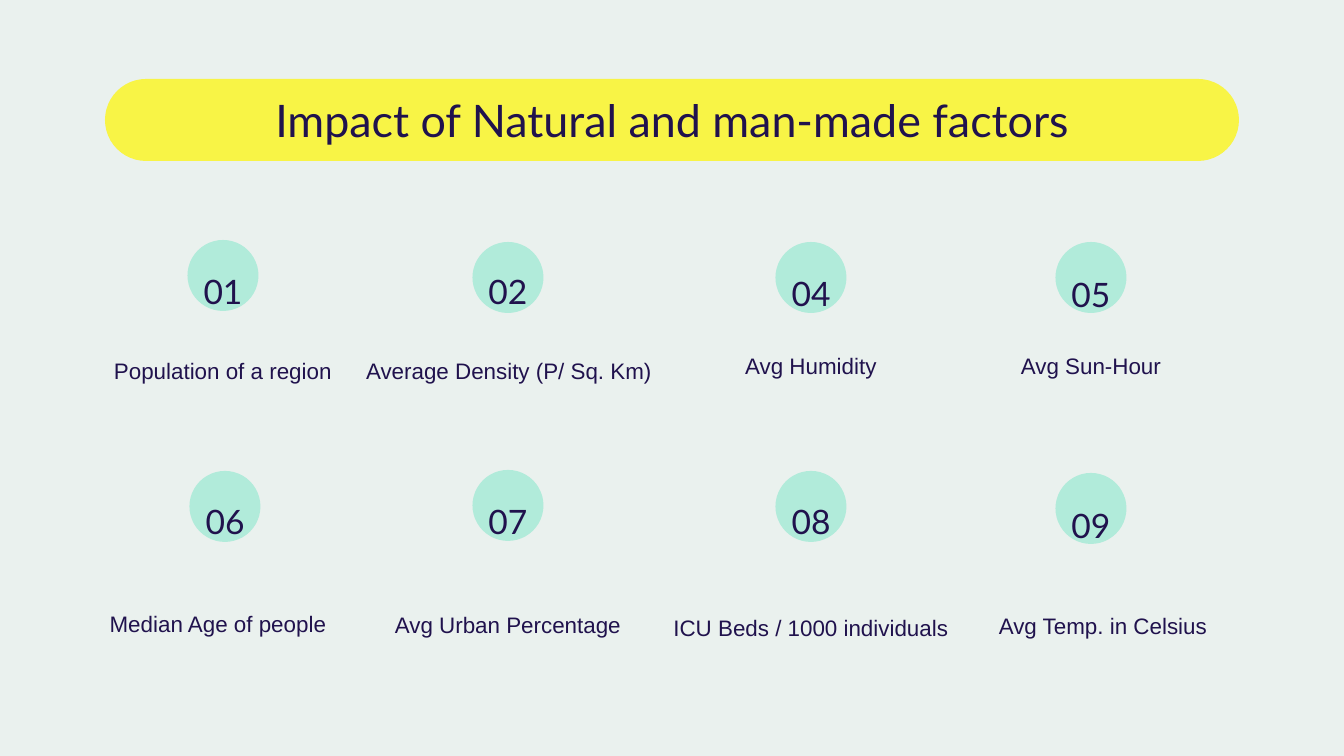
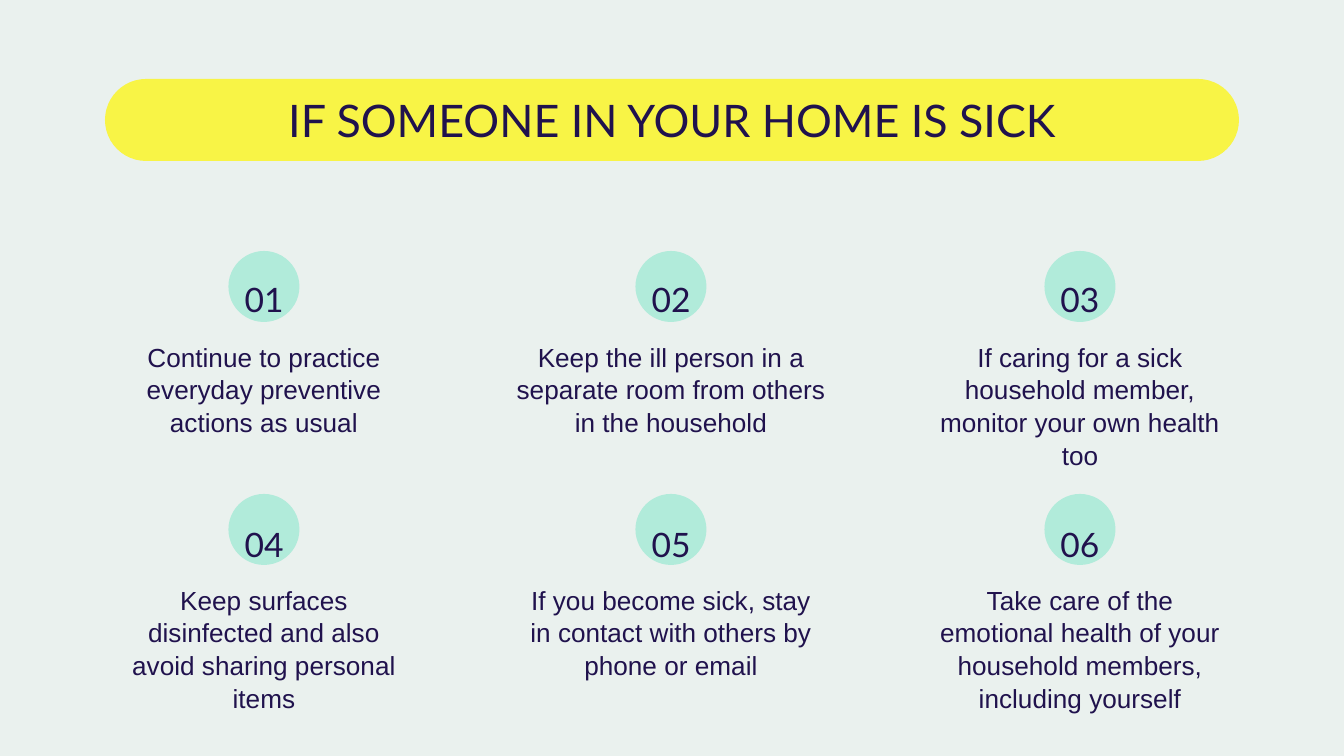
from pptx import Presentation
from pptx.dml.color import RGBColor
from pptx.enum.shapes import MSO_SHAPE as Shape
from pptx.enum.text import MSO_ANCHOR as Anchor, MSO_AUTO_SIZE as AutoSize, PP_ALIGN as Align
from pptx.util import Emu, Pt

# Content: items fill the grid row by row; rows give circle, number and label tops
SLIDES = [
    {
        "title": "Impact of Natural and man-made factors",
        "label_size": 12,
        "columns": [223, 508, 811, 1091],
        "rows": [(241, 251, 332), (471, 481, 587)],
        "items": [
            ("01", "Population of a region"),
            ("02", "Average Density (P/ Sq. Km)"),
            ("04", "Avg Humidity"),
            ("05", "Avg Sun-Hour"),
            ("06", "Median Age of people"),
            ("07", "Avg Urban Percentage"),
            ("08", "ICU Beds / 1000 individuals"),
            ("09", "Avg Temp. in Celsius"),
        ],
        # Small shifts: circle x, circle y, number y, label x, label y
        "nudges": {
            "01": (0, -1, 0, 0, 0),
            "02": (0, 1, 0, 1, 0),
            "04": (0, 1, 2, 0, -5),
            "05": (0, 1, 3, 0, -5),
            "06": (2, 0, 0, -5, -2),
            "07": (0, -1, 0, 0, -1),
            "08": (0, 0, 0, 0, 2),
            "09": (0, 2, 4, 12, 0),
        },
    },
    {
        "title": "IF SOMEONE IN YOUR HOME IS SICK",
        "label_size": 14,
        "columns": [264, 671, 1080],
        "rows": [(251, 259, 316), (494, 504, 559)],
        "items": [
            ("01", "Continue to practice everyday preventive actions as usual"),
            ("02", "Keep the ill person in a separate room from others in the household"),
            ("03", "If caring for a sick household member, monitor your own health too"),
            ("04", "Keep surfaces disinfected and also avoid sharing personal items"),
            ("05", "If you become sick, stay in contact with others by phone or email"),
            ("06", "Take care of the emotional health of your household members, "
                   "including yourself"),
        ],
        "nudges": {},
    },
]

# Shared look, lengths in px
COLORS = {"background": "EAF1EE", "band": "F8F446", "circle": "B1EBDA", "text": "20124D"}
HEADING_FONT, BODY_FONT = "Lato", "Arial"
SLIDE_SIZE = (1344, 756)
BAND = (105, 79, 1134, 82)
TITLE = (138, 80, 1068, 81)
CIRCLE = 71
NUMBER_WIDTH, NUMBER_HEIGHT = 121, 54
LABEL_WIDTH, LABEL_HEIGHT = 316, 112
WIDE_LABELS = {"02": 335}
NO_NUDGE = (0, 0, 0, 0, 0)


def px(length):
    return Emu(round(length * 914400 / 134.4))


def color(name):
    return RGBColor.from_string(COLORS[name])


def centred(center, top, width, height):
    return center - width / 2, top, width, height


def add_filled(slide, kind, box, fill):
    shape = slide.shapes.add_shape(kind, *map(px, box))
    shape.shadow.inherit = False
    shape.fill.solid()
    shape.fill.fore_color.rgb = color(fill)
    shape.line.fill.background()
    return shape


def write(shape, text, *, size, font, insets, anchor=Anchor.TOP, after=0, spacing=1.0):
    frame = shape.text_frame
    frame.word_wrap = True
    frame.auto_size = AutoSize.NONE
    frame.vertical_anchor = anchor
    (frame.margin_left, frame.margin_top,
     frame.margin_right, frame.margin_bottom) = map(px, insets)
    paragraph = frame.paragraphs[0]
    paragraph.alignment = Align.CENTER
    paragraph.space_before = Pt(0)
    paragraph.space_after = Pt(after)
    paragraph.line_spacing = spacing
    run = paragraph.add_run()
    run.text = text
    run.font.size = Pt(size)
    run.font.name = font
    run.font.bold = False
    run.font.color.rgb = color("text")


def add_text(slide, box, text, **style):
    write(slide.shapes.add_textbox(*map(px, box)), text, after=16, **style)


def add_title(slide, text):
    title = slide.shapes.title
    title.left, title.top, title.width, title.height = map(px, TITLE)
    write(title, text, size=24, font=HEADING_FONT, insets=(13, 13, 13, 13))


def add_item(slide, number, label, center, tops, nudge, label_size):
    circle_top, number_top, label_top = tops
    circle_dx, circle_dy, number_dy, label_dx, label_dy = nudge
    circle_center = center + circle_dx
    add_filled(slide, Shape.OVAL,
               centred(circle_center, circle_top + circle_dy, CIRCLE, CIRCLE), "circle")
    add_text(slide,
             centred(circle_center, number_top + number_dy, NUMBER_WIDTH, NUMBER_HEIGHT),
             number, size=18, font=HEADING_FONT, insets=(13, 27, 13, 0),
             anchor=Anchor.MIDDLE)
    width = WIDE_LABELS.get(number, LABEL_WIDTH)
    add_text(slide, centred(center + label_dx, label_top + label_dy, width, LABEL_HEIGHT),
             label, size=label_size, font=BODY_FONT, insets=(13, 24, 13, 0), spacing=1.04)


def main():
    presentation = Presentation()
    presentation.slide_width, presentation.slide_height = map(px, SLIDE_SIZE)
    layout = presentation.slide_layouts.get_by_name("Title Only")
    layout.background.fill.solid()
    layout.background.fill.fore_color.rgb = color("background")

    for index, content in enumerate(SLIDES):
        slide = presentation.slides.add_slide(layout)
        if index == 0:
            # The band moves to the layout, behind every title
            band = add_filled(slide, Shape.ROUNDED_RECTANGLE, BAND, "band")
            band.adjustments[0] = 0.5
            layout.shapes.element.insert(2, band.element)
        add_title(slide, content["title"])

        # Numbered grid
        columns = content["columns"]
        for position, (number, label) in enumerate(content["items"]):
            row, column = divmod(position, len(columns))
            add_item(slide, number, label, columns[column], content["rows"][row],
                     content["nudges"].get(number, NO_NUDGE), content["label_size"])

    presentation.save("out.pptx")


if __name__ == "__main__":
    main()
